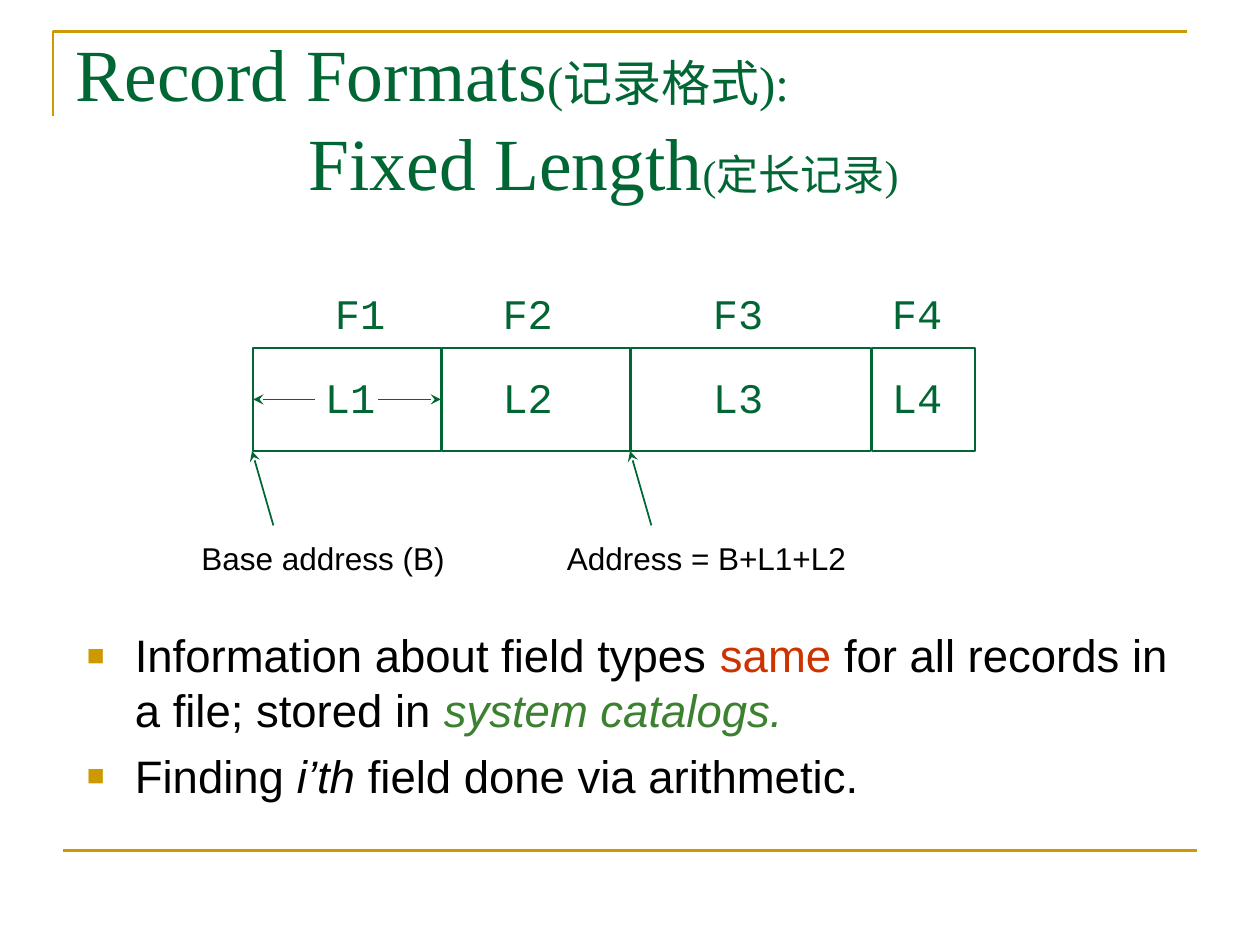
"""Build the slide on fixed-length record formats."""
from dataclasses import dataclass
from typing import Optional

import lxml.etree
import pptx
import pptx.dml.color
import pptx.enum.shapes
import pptx.enum.text
import pptx.oxml.ns
import pptx.util

Inches = pptx.util.Inches
qn = pptx.oxml.ns.qn


@dataclass(frozen=True)
class Theme:
    green: str = "006633"
    gold: str = "CC9900"
    black: str = "000000"
    red: str = "CC3300"
    leaf: str = "3B812F"
    serif: str = "Times New Roman"
    sans: str = "Arial"
    mono: str = "Courier New"
    title: float = 42
    title_note: float = 28
    subtitle_note: float = 24
    body: float = 26
    field: float = 24
    caption: float = 18
    rule: float = 1.5
    line: float = 1


@dataclass(frozen=True)
class Field:
    number: int
    left: float
    width: float
    label_left: float
    length_left: float


@dataclass(frozen=True)
class Pointer:
    tip: float
    text: str
    text_left: float
    text_width: float


THEME = Theme()
FIELDS = (
    Field(1, 2.01, 1.49, 2.56, 2.48),
    Field(2, 3.51, 1.49, 3.89, 3.89),
    Field(3, 5.01, 1.9, 5.56, 5.56),
    Field(4, 6.92, 0.82, 6.98, 6.98),
)
POINTERS = (
    Pointer(2, "Base address (B)", 1.5, 2.13),
    Pointer(5, "Address = B+L1+L2", 4.4, 2.42),
)
CELL_TOP, CELL_HEIGHT = 2.76, 0.82
CELL_MIDDLE = CELL_TOP + CELL_HEIGHT / 2
CELL_BOTTOM = CELL_TOP + CELL_HEIGHT


def rgb(color: str):
    return pptx.dml.color.RGBColor.from_string(color)


def add_span(para, text: str, *, size: float, font: str, color: str, italic: bool = False):
    span = para.add_run()
    span.text = text
    span.font.size = pptx.util.Pt(size)
    span.font.name = font
    span.font.color.rgb = rgb(color)
    span.font.italic = italic


def place(shape, left: float, top: float, width: float, height: float):
    shape.left, shape.top = Inches(left), Inches(top)
    shape.width, shape.height = Inches(width), Inches(height)


def add_label(page, text: str, left: float, top: float, width: float, height: float, **style):
    box = page.shapes.add_textbox(Inches(left), Inches(top), Inches(width), Inches(height))
    box.text_frame.word_wrap = False
    box.text_frame.auto_size = pptx.enum.text.MSO_AUTO_SIZE.SHAPE_TO_FIT_TEXT
    add_span(box.text_frame.paragraphs[0], text, **style)


def add_line(page, start: tuple, end: tuple, *, color: str, width: float,
             arrow: bool = False, target: Optional[tuple] = None):
    line = page.shapes.add_connector(
        pptx.enum.shapes.MSO_CONNECTOR.STRAIGHT, *(Inches(value) for value in start + end))
    if target:
        line.end_connect(*target)
    line.line.color.rgb = rgb(color)
    line.line.width = pptx.util.Pt(width)
    if arrow:
        lxml.etree.SubElement(line.line._get_or_add_ln(), qn("a:tailEnd"), type="stealth")
    lxml.etree.SubElement(line._element.spPr, qn("a:effectLst"))


def add_cell(page, field: Field):
    cell = page.shapes.add_shape(
        pptx.enum.shapes.MSO_SHAPE.RECTANGLE, Inches(field.left), Inches(CELL_TOP),
        Inches(field.width), Inches(CELL_HEIGHT))
    cell.shadow.inherit = False
    cell.fill.background()
    cell.line.color.rgb = rgb(THEME.green)
    cell.line.width = pptx.util.Pt(THEME.line)
    return cell


def add_frame(page):
    builder = page.shapes.build_freeform(Inches(0.42), Inches(0.92))
    builder.add_line_segments(
        [(Inches(0.42), Inches(0.25)), (Inches(9.42), Inches(0.25))], close=False)
    corner = builder.convert_to_shape()
    corner.shadow.inherit = False
    corner.fill.background()
    corner.line.color.rgb = rgb(THEME.gold)
    corner.line.width = pptx.util.Pt(THEME.rule)
    add_line(page, (0.5, 6.75), (9.5, 6.75), color=THEME.gold, width=THEME.rule)


def fill_title(page):
    title = page.shapes.title
    place(title, 0.5, 0.3, 9.3, 1.25)
    frame = title.text_frame
    frame.auto_size = pptx.enum.text.MSO_AUTO_SIZE.NONE
    frame.vertical_anchor = pptx.enum.text.MSO_ANCHOR.MIDDLE
    rows = (
        ("Record Formats", "(记录格式):", THEME.title_note, 0),
        ("Fixed Length", "(定长记录)", THEME.subtitle_note, 1.85),
    )
    for index, (name, note, note_size, indent) in enumerate(rows):
        para = frame.add_paragraph() if index else frame.paragraphs[0]
        para.alignment = pptx.enum.text.PP_ALIGN.LEFT
        para.space_before = pptx.util.Pt(0)
        para._p.get_or_add_pPr().set("marL", str(Inches(indent)))
        for text, size in ((name, THEME.title), (note, note_size)):
            add_span(para, text, size=size, font=THEME.serif, color=THEME.green)


def add_bullet(para):
    properties = para._p.get_or_add_pPr()
    properties.set("marL", str(Inches(0.38)))
    properties.set("indent", str(Inches(-0.38)))
    color = lxml.etree.SubElement(properties, qn("a:buClr"))
    lxml.etree.SubElement(color, qn("a:srgbClr"), val=THEME.gold)
    lxml.etree.SubElement(properties, qn("a:buSzPct"), val="65000")
    lxml.etree.SubElement(properties, qn("a:buFont"), typeface=THEME.sans)
    lxml.etree.SubElement(properties, qn("a:buChar"), char="■")


def fill_body(page):
    body = page.placeholders[1]
    place(body, 0.59, 4.93, 8.9, 1.77)
    frame = body.text_frame
    frame.auto_size = pptx.enum.text.MSO_AUTO_SIZE.NONE
    items = (
        (("Information about field types ", THEME.black, False),
         ("same", THEME.red, False),
         (" for all records in a file; stored in ", THEME.black, False),
         ("system catalogs.", THEME.leaf, True)),
        (("Finding ", THEME.black, False),
         ("i’th ", THEME.black, True),
         ("field done via arithmetic.", THEME.black, False)),
    )
    for index, item in enumerate(items):
        para = frame.add_paragraph() if index else frame.paragraphs[0]
        add_bullet(para)
        para.space_before = pptx.util.Pt(6.5 if index else 0)
        for text, color, italic in item:
            add_span(para, text, size=THEME.body, font=THEME.sans, color=color, italic=italic)


def draw_record(page):
    cells = [add_cell(page, field) for field in FIELDS]
    field_style = dict(size=THEME.field, font=THEME.mono, color=THEME.green)
    for field in FIELDS:
        add_label(page, f"F{field.number}", field.label_left, 2.23, 0.6, 0.5, **field_style)
        add_label(page, f"L{field.number}", field.length_left, 2.9, 0.6, 0.5, **field_style)
    arrow_style = dict(color=THEME.green, width=THEME.line, arrow=True)
    for start, end, side in ((2.5, 2, 1), (3, 3.5, 3)):
        add_line(page, (start, CELL_MIDDLE), (end, CELL_MIDDLE),
                 target=(cells[0], side), **arrow_style)
    for pointer in POINTERS:
        add_line(page, (pointer.tip + 0.17, 4.17), (pointer.tip, CELL_BOTTOM), **arrow_style)
        add_label(page, pointer.text, pointer.text_left, 4.23, pointer.text_width, 0.4,
                  size=THEME.caption, font=THEME.sans, color=THEME.black)


def main():
    deck = pptx.Presentation()
    deck.slide_width, deck.slide_height = Inches(10), Inches(7.5)
    page = deck.slides.add_slide(deck.slide_layouts[1])
    add_frame(page)
    fill_title(page)
    fill_body(page)
    draw_record(page)
    deck.save("out.pptx")


if __name__ == "__main__":
    main()
